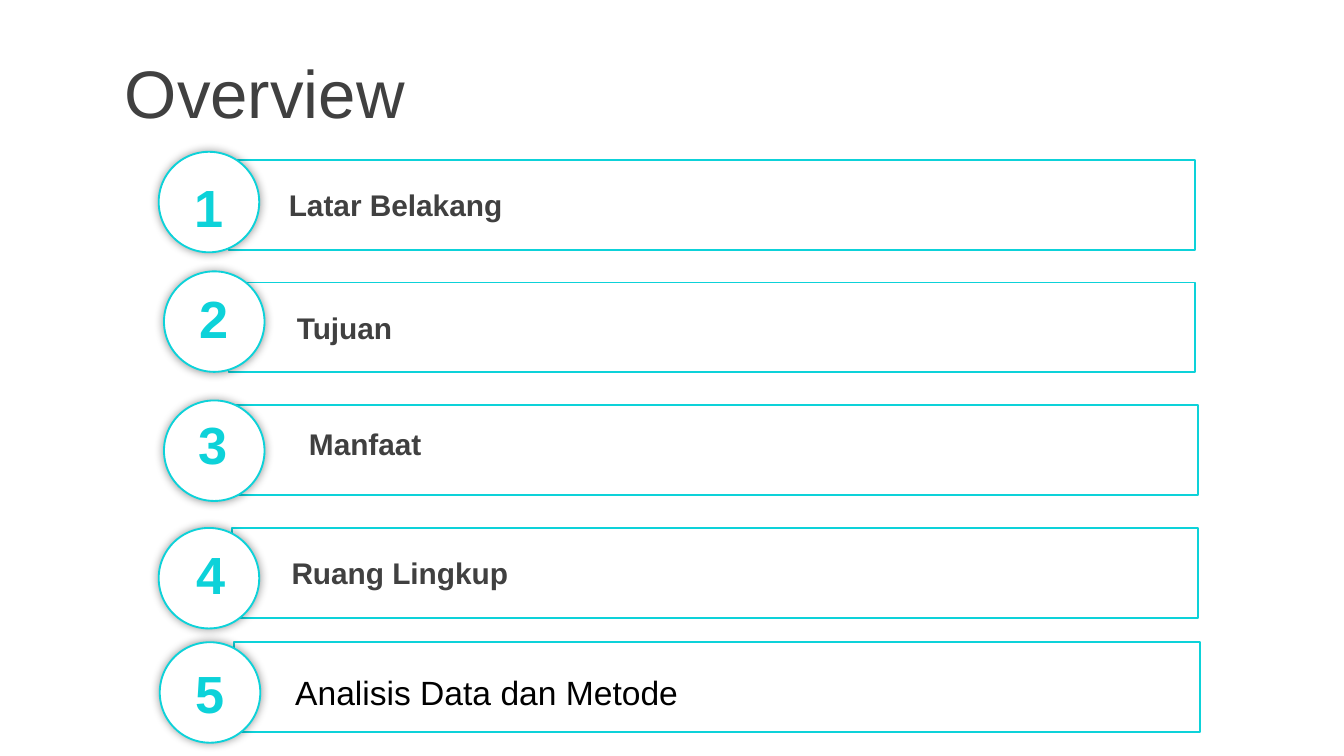
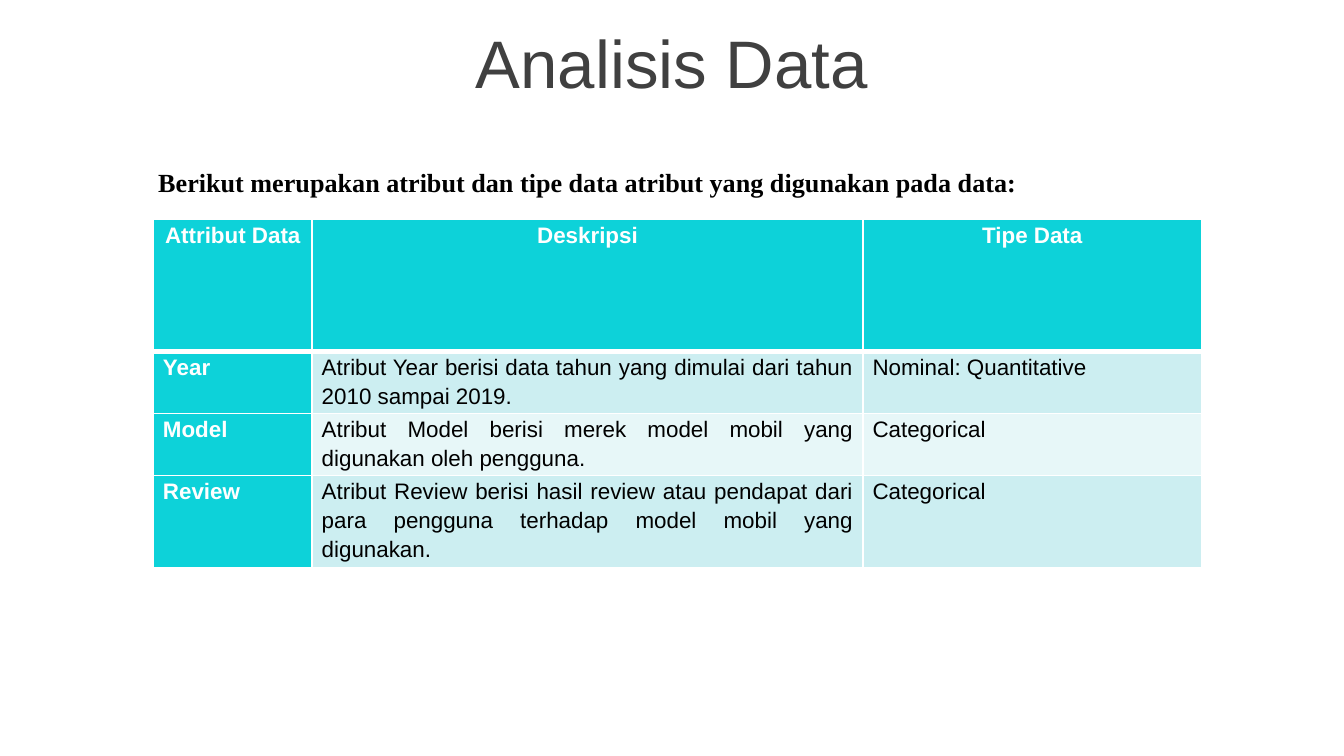
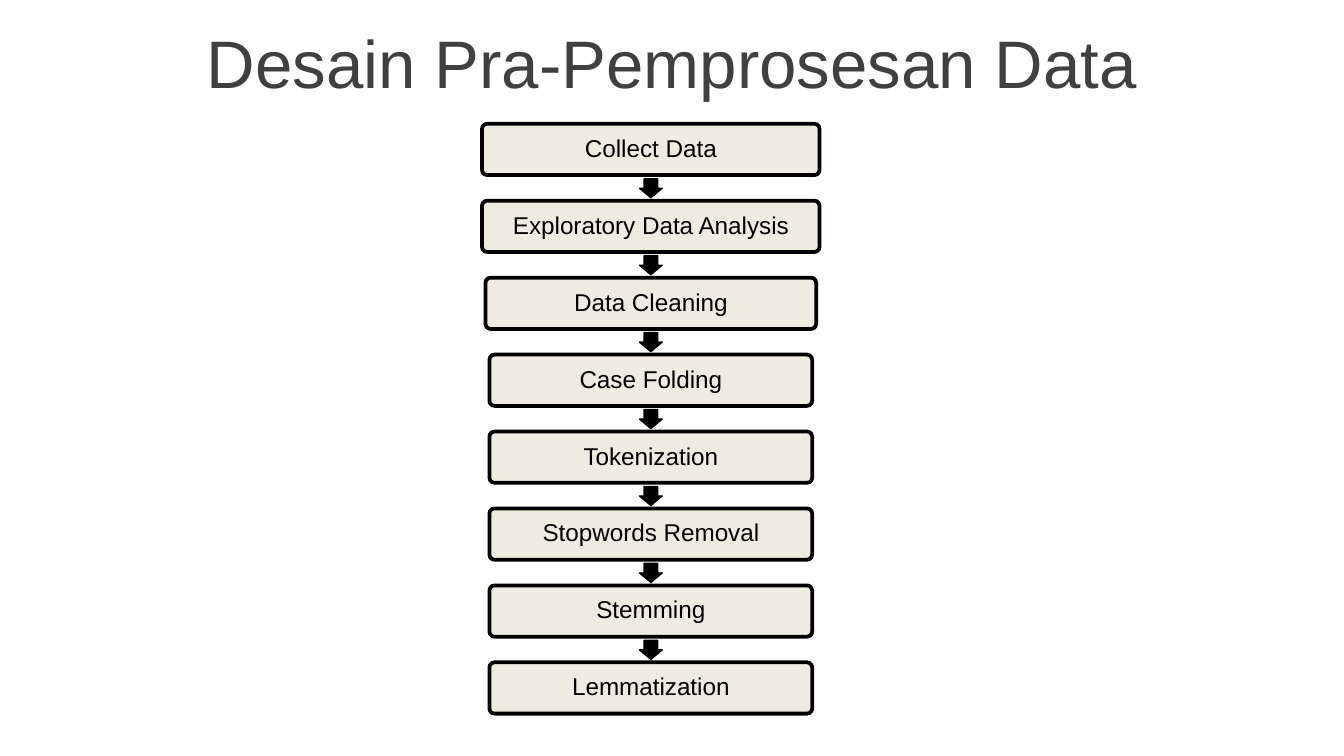
import lxml.etree
import pptx
import pptx.dml.color
import pptx.enum.shapes
import pptx.enum.text
import pptx.oxml.ns
import pptx.util

Cm = pptx.util.Cm
Pt = pptx.util.Pt
RGBColor = pptx.dml.color.RGBColor
SHAPE = pptx.enum.shapes.MSO_SHAPE
ALIGN = pptx.enum.text.PP_ALIGN
ANCHOR = pptx.enum.text.MSO_ANCHOR
qn = pptx.oxml.ns.qn

CYAN = RGBColor(0x0D, 0xD2, 0xD9)
DARK = RGBColor(0x40, 0x40, 0x40)
BLACK = RGBColor(0x00, 0x00, 0x00)
WHITE = RGBColor(0xFF, 0xFF, 0xFF)
CREAM = RGBColor(0xEE, 0xEC, 0xE1)
BAND_DARK = RGBColor(0xCC, 0xEE, 0xF1)
BAND_LIGHT = RGBColor(0xE7, 0xF7, 0xF8)

TITLE = {"name": "Arial", "size": Pt(36)}
LABEL = {"name": "Arial", "size": Pt(16), "bold": True}
DIGIT = {"name": "Arial", "size": Pt(28), "bold": True}
ENTRY = {"name": "Arial", "size": Pt(18)}
CAPTION = {"name": "Times New Roman", "size": Pt(14), "bold": True}
STEP = {"name": "Arial", "size": Pt(13)}
CELL = {"name": "Arial", "size": Pt(12), "bold": False}
CELL_BOLD = {**CELL, "bold": True}


class Deck:
    """Hold the shared style and the current slide, and draw each kind of element."""

    def __init__(self, width, height):
        self.prs = pptx.Presentation()
        self.prs.slide_width = Cm(width)
        self.prs.slide_height = Cm(height)
        self.s = None

    def slide(self):
        self.s = self.prs.slides.add_slide(self.prs.slide_layouts[6])

    def fill_text(self, tf, text, fmt, color, align=ALIGN.LEFT, spacing=None):
        p = tf.paragraphs[0]
        p.alignment = align
        p.line_spacing = spacing
        r = p.add_run()
        r.text = text
        r.font.color.rgb = color
        for key, value in fmt.items():
            setattr(r.font, key, value)

    def text(self, box, text, fmt, color, align=ALIGN.LEFT, wrap=True):
        tf = self.s.shapes.add_textbox(*map(Cm, box)).text_frame
        tf.word_wrap = wrap
        tf.vertical_anchor = ANCHOR.MIDDLE
        self.fill_text(tf, text, fmt, color, align)

    def title(self, text, box=(0, 0.36, 25.4, 1.6), align=ALIGN.CENTER):
        self.text(box, text, TITLE, DARK, align)

    def shape(self, kind, box, fill, line, weight, adjust=()):
        sp = self.s.shapes.add_shape(kind, *map(Cm, box))
        sp.shadow.inherit = False
        if fill is None:
            sp.fill.background()
        else:
            sp.fill.solid()
            sp.fill.fore_color.rgb = fill
        sp.line.color.rgb = line
        sp.line.width = Pt(weight)
        for i, value in enumerate(adjust):
            sp.adjustments[i] = value
        sp.text_frame.vertical_anchor = ANCHOR.MIDDLE
        return sp

    def bar(self, x, y):
        self.shape(SHAPE.RECTANGLE, (x, y, 18.26, 1.7), None, CYAN, 1)

    def badge(self, x, y):
        sp = self.shape(SHAPE.OVAL, (x, y, 1.9, 1.9), WHITE, CYAN, 1)
        effects = sp._element.spPr.find(qn("a:effectLst"))
        glow = lxml.etree.SubElement(effects, qn("a:outerShdw"), blurRad=str(Pt(5)), dist="0")
        color = lxml.etree.SubElement(glow, qn("a:srgbClr"), val=str(BLACK))
        lxml.etree.SubElement(color, qn("a:alpha"), val="40000")
        return sp

    def step(self, x, y, width, height, text):
        sp = self.shape(SHAPE.ROUNDED_RECTANGLE, (x, y, width, height), CREAM, BLACK, 2, [0.1])
        tf = sp.text_frame
        tf.word_wrap = True
        for side in ("left", "top", "right", "bottom"):
            setattr(tf, f"margin_{side}", Cm(0.13))
        self.fill_text(tf, text, STEP, BLACK, ALIGN.CENTER, 0.9)

    def arrow(self, x, y):
        box = (x, y, 0.36, 0.43)
        sp = self.shape(SHAPE.RIGHT_ARROW, box, BLACK, BLACK, 0.75, [0.6, 0.5])
        sp.rotation = 90

    def border(self, cell, **weights):
        for side, weight in weights.items():
            ln = lxml.etree.SubElement(cell._tc.get_or_add_tcPr(), qn(f"a:ln{side}"), w=str(Pt(weight)))
            fill = lxml.etree.SubElement(ln, qn("a:solidFill"))
            lxml.etree.SubElement(fill, qn("a:srgbClr"), val=str(WHITE))

    def table(self, x, y, widths, heights, rows):
        box = map(Cm, (x, y, sum(widths), sum(heights)))
        table = self.s.shapes.add_table(len(rows), len(widths), *box).table
        for column, width in zip(table.columns, widths):
            column.width = Cm(width)
        for i, (row, height) in enumerate(zip(rows, heights)):
            table.rows[i].height = Cm(height)
            for j, text in enumerate(row):
                cell = table.cell(i, j)
                head = i == 0 or j == 0
                self.border(cell, L=1, R=1, T=3 if i == 1 else 1, B=3 if i == 0 else 1)
                cell.fill.solid()
                cell.fill.fore_color.rgb = CYAN if head else (BAND_LIGHT, BAND_DARK)[i % 2]
                cell.margin_left = cell.margin_right = Cm(0.18)
                cell.margin_top = cell.margin_bottom = 0
                self.fill_text(cell.text_frame, text, CELL_BOLD if head else CELL,
                               WHITE if head else BLACK,
                               ALIGN.CENTER if i == 0 else ALIGN.JUSTIFY, 1.15)


def overview(deck):
    deck.slide()
    deck.title("Overview", (2.11, 0.94, 23.29, 1.6), ALIGN.LEFT)
    topics = [
        ("Latar Belakang", 4.32, (5.21, 3.4), (3.0, 2.87), (3.35, 3.18)),
        ("Tujuan", 4.32, (5.36, 5.72), (3.1, 5.13), (3.45, 5.28)),
        ("Manfaat", 4.39, (5.59, 7.92), (3.1, 7.57), (3.43, 7.67)),
        ("Ruang Lingkup", 4.39, (5.26, 10.36), (3.0, 9.98), (3.4, 10.11)),
    ]
    for i, (topic, bar_x, label, badge, digit) in enumerate(topics):
        deck.bar(bar_x, 3.02 + 2.32 * i)
        deck.text((*label, 15.95, 0.94), topic, LABEL, DARK)
        deck.badge(*badge)
        deck.text((*digit, 1.19, 1.45), str(i + 1), DIGIT, CYAN, ALIGN.CENTER)
    deck.bar(4.42, 12.14)
    sp = deck.badge(3.02, 12.14)
    deck.fill_text(sp.text_frame, "5", DIGIT, CYAN, ALIGN.CENTER)
    deck.text((5.33, 12.57, 7.82, 1.02), "Analisis Data dan Metode", ENTRY, BLACK, wrap=False)


def data_analysis(deck):
    deck.slide()
    deck.title("Analisis Data")
    deck.table(2.9, 4.14, [3, 10.41, 6.4], [2.51, 1.08, 1.08, 1.63], [
        ("Attribut Data", "Deskripsi", "Tipe Data"),
        ("Year", "Atribut Year berisi data tahun yang dimulai dari tahun 2010 sampai 2019.",
         "Nominal: Quantitative"),
        ("Model", "Atribut Model berisi merek model mobil yang digunakan oleh pengguna.",
         "Categorical"),
        ("Review", "Atribut Review berisi hasil review atau pendapat dari para pengguna "
         "terhadap model mobil yang digunakan.", "Categorical"),
    ])
    deck.text((2.69, 3.02, 16.84, 0.86),
              "Berikut merupakan atribut dan tipe data atribut yang digunakan pada data:",
              CAPTION, BLACK, ALIGN.CENTER, wrap=False)


def preprocessing(deck):
    deck.slide()
    deck.title("Desain Pra-Pemprosesan Data")
    steps = [("Collect Data", 6.38), ("Exploratory Data Analysis", 6.38), ("Data Cleaning", 6.25),
             ("Case Folding", 6.1), ("Tokenization", 6.1), ("Stopwords Removal", 6.1),
             ("Stemming", 6.1), ("Lemmatization", 6.1)]
    center, first, last = 12.3, 2.34, 12.52
    pitch = (last - first) / (len(steps) - 1)
    for i, (name, width) in enumerate(steps):
        y = first + pitch * i
        if i:
            deck.arrow(center - 0.18, y - 0.45)
        deck.step(center - width / 2, y, width, 0.97, name)


def main():
    deck = Deck(25.4, 14.29)
    overview(deck)
    data_analysis(deck)
    preprocessing(deck)
    deck.prs.save("out.pptx")


if __name__ == "__main__":
    main()
